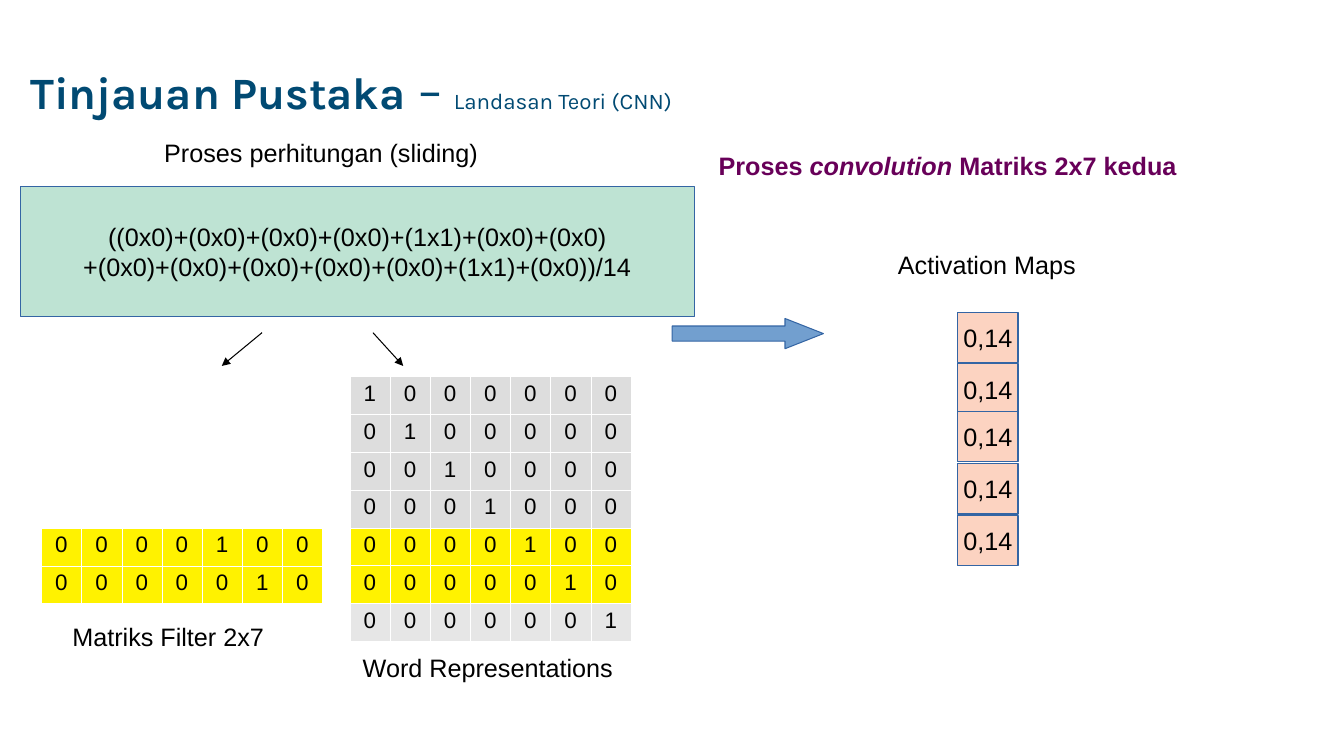
from dataclasses import dataclass

from lxml.etree import SubElement
from pptx import Presentation
from pptx.dml.color import RGBColor
from pptx.enum.shapes import MSO_CONNECTOR as Link, MSO_SHAPE as Form
from pptx.enum.text import MSO_ANCHOR as Anchor, MSO_AUTO_SIZE as Fit, PP_ALIGN as Align
from pptx.oxml.ns import qn
from pptx.util import Pt

BLACK, WHITE, NAVY, PLUM = "000000", "FFFFFF", "014A73", "680059"
MINT, PEACH, BLUE, EDGE = "BEE3D3", "FCD3C1", "729FCF", "3465A4"
GRAY, PALE, YELLOW = "DDDDDD", "E6E6E6", "FFF200"


@dataclass
class Box:
    left: float
    top: float
    width: float
    height: float

    def place(self) -> tuple:
        return Pt(self.left), Pt(self.top), Pt(self.width), Pt(self.height)


@dataclass
class Piece:
    text: str
    size: float = 18
    color: str = BLACK
    bold: bool = False
    slant: bool = False
    face: str = "Arial"


@dataclass
class Label:
    box: Box
    words: list[Piece]


@dataclass
class Grid:
    box: Box
    rows: list[str]
    fills: list[str]


@dataclass
class Arrow:
    start: tuple[float, float]
    end: tuple[float, float]


def paint(target, color: str) -> None:
    """Give a fill one solid colour."""
    target.solid()
    target.fore_color.rgb = RGBColor.from_string(color)


def style(run, piece: Piece) -> None:
    font = run.font
    font.name, font.size = piece.face, Pt(piece.size)
    font.bold, font.italic = piece.bold, piece.slant
    font.color.rgb = RGBColor.from_string(piece.color)


def write(para, words: list[Piece]) -> None:
    for piece in words:
        run = para.add_run()
        run.text = piece.text
        style(run, piece)


def add_label(slide, label: Label) -> None:
    frame = slide.shapes.add_textbox(*label.box.place()).text_frame
    frame.word_wrap = True
    write(frame.paragraphs[0], label.words)


def add_block(slide, form: Form, box: Box, fill: str, text: str = ""):
    shape = slide.shapes.add_shape(form, *box.place())
    shape.shadow.inherit = False
    paint(shape.fill, fill)
    paint(shape.line.fill, EDGE)
    shape.line.width = Pt(0.75)
    if text:
        frame = shape.text_frame
        frame.text = text
        frame.word_wrap = False
        frame.vertical_anchor = Anchor.MIDDLE
        for para in frame.paragraphs:
            para.alignment = Align.CENTER
            style(para.runs[0], Piece(para.text))
    return shape


def add_grid(slide, grid: Grid) -> None:
    count, wide = len(grid.rows), len(grid.rows[0])
    table = slide.shapes.add_table(count, wide, *grid.box.place()).table
    table.first_row = table.horz_banding = False
    for col in table.columns:
        col.width = Pt(grid.box.width / wide)
    for r, (digits, fill) in enumerate(zip(grid.rows, grid.fills)):
        table.rows[r].height = Pt(grid.box.height / count)
        for c, digit in enumerate(digits):
            cell = table.cell(r, c)
            props = cell._tc.get_or_add_tcPr()
            for side in ("a:lnL", "a:lnR", "a:lnT", "a:lnB"):
                line = SubElement(props, qn(side), w=str(Pt(0.06)))
                solid = SubElement(line, qn("a:solidFill"))
                SubElement(solid, qn("a:srgbClr"), val=WHITE)
            paint(cell.fill, fill)
            para = cell.text_frame.paragraphs[0]
            para.text = digit
            para.alignment = Align.CENTER
            style(para.runs[0], Piece(digit, 16))


def add_arrow(slide, arrow: Arrow) -> None:
    ends = [Pt(n) for n in (*arrow.start, *arrow.end)]
    link = slide.shapes.add_connector(Link.STRAIGHT, *ends)
    paint(link.line.fill, BLACK)
    link.line.width = Pt(0.75)
    SubElement(link.get_or_add_ln(), qn("a:tailEnd"), type="triangle")
    SubElement(link._element.spPr, qn("a:effectLst"))


def set_title(slide, label: Label) -> None:
    title = slide.shapes.title
    title.left, title.top, title.width, title.height = label.box.place()
    frame = title.text_frame
    frame.auto_size, frame.word_wrap = Fit.NONE, True
    frame.vertical_anchor = Anchor.MIDDLE
    para = frame.paragraphs[0]
    para.alignment, para.line_spacing = Align.LEFT, 0.9
    write(para, label.words)


TITLE = Label(Box(14.4, 14.4, 568.8, 104.4), [
    Piece("Tinjauan Pustaka", 32, NAVY, bold=True, face="Karla"),
    Piece(" – ", 36, NAVY, face="Karla"),
    Piece("Landasan Teori (CNN)", 16, NAVY, face="Karla"),
])
LABELS = [
    Label(Box(44.6, 440.6, 178.6, 27.4), [Piece("Matriks Filter 2x7")]),
    Label(Box(252, 462.2, 216.7, 27.4), [Piece("Word Representations")]),
    Label(Box(110.2, 94.3, 267.8, 27.4), [Piece("Proses perhitungan (sliding)")]),
    Label(Box(634.3, 174.2, 157.7, 27.4), [Piece("Activation Maps")]),
    Label(Box(506.2, 103.7, 403.9, 47.5), [
        Piece("Proses ", color=PLUM, bold=True),
        Piece("convolution", color=PLUM, bold=True, slant=True),
        Piece(" Matriks 2x7 kedua", color=PLUM, bold=True),
    ]),
]
SUM = ("((0x0)+(0x0)+(0x0)+(0x0)+(1x1)+(0x0)+(0x0)\n"
       "+(0x0)+(0x0)+(0x0)+(0x0)+(0x0)+(1x1)+(0x0))/14")

# One-hot words; the filter covers the fifth and sixth
WORDS = ["".join("1" if r == c else "0" for c in range(7)) for r in range(7)]
GRIDS = [
    Grid(Box(249.8, 268.6, 201, 189.6), WORDS, [GRAY] * 4 + [YELLOW] * 2 + [PALE]),
    Grid(Box(29.5, 376.9, 201, 54.2), WORDS[4:6], [YELLOW] * 2),
]
ARROWS = [
    Arrow((187.2, 237.6), (158.4, 261.4)),
    Arrow((266.4, 237.6), (288, 261.4)),
]
MAP_TOPS = [223.2, 259.9, 293.8, 331.2, 367.9]


def main() -> None:
    deck = Presentation()
    deck.slide_width, deck.slide_height = Pt(960), Pt(540)
    slide = deck.slides.add_slide(deck.slide_layouts[5])
    set_title(slide, TITLE)

    # Calculation and its two inputs
    add_block(slide, Form.RECTANGLE, Box(14.4, 133.2, 481.7, 92.9), MINT, SUM)
    for grid in GRIDS:
        add_grid(slide, grid)
    for arrow in ARROWS:
        add_arrow(slide, arrow)

    # Arrow to the activation maps
    big = add_block(slide, Form.RIGHT_ARROW, Box(480.2, 227.5, 108, 21.6), BLUE)
    big.adjustments[0], big.adjustments[1] = 0.5, 1.27
    for top in MAP_TOPS:
        add_block(slide, Form.RECTANGLE, Box(684, top, 43.2, 36), PEACH, "0,14")

    # Captions
    for label in LABELS:
        add_label(slide, label)
    deck.save("out.pptx")


if __name__ == "__main__":
    main()
